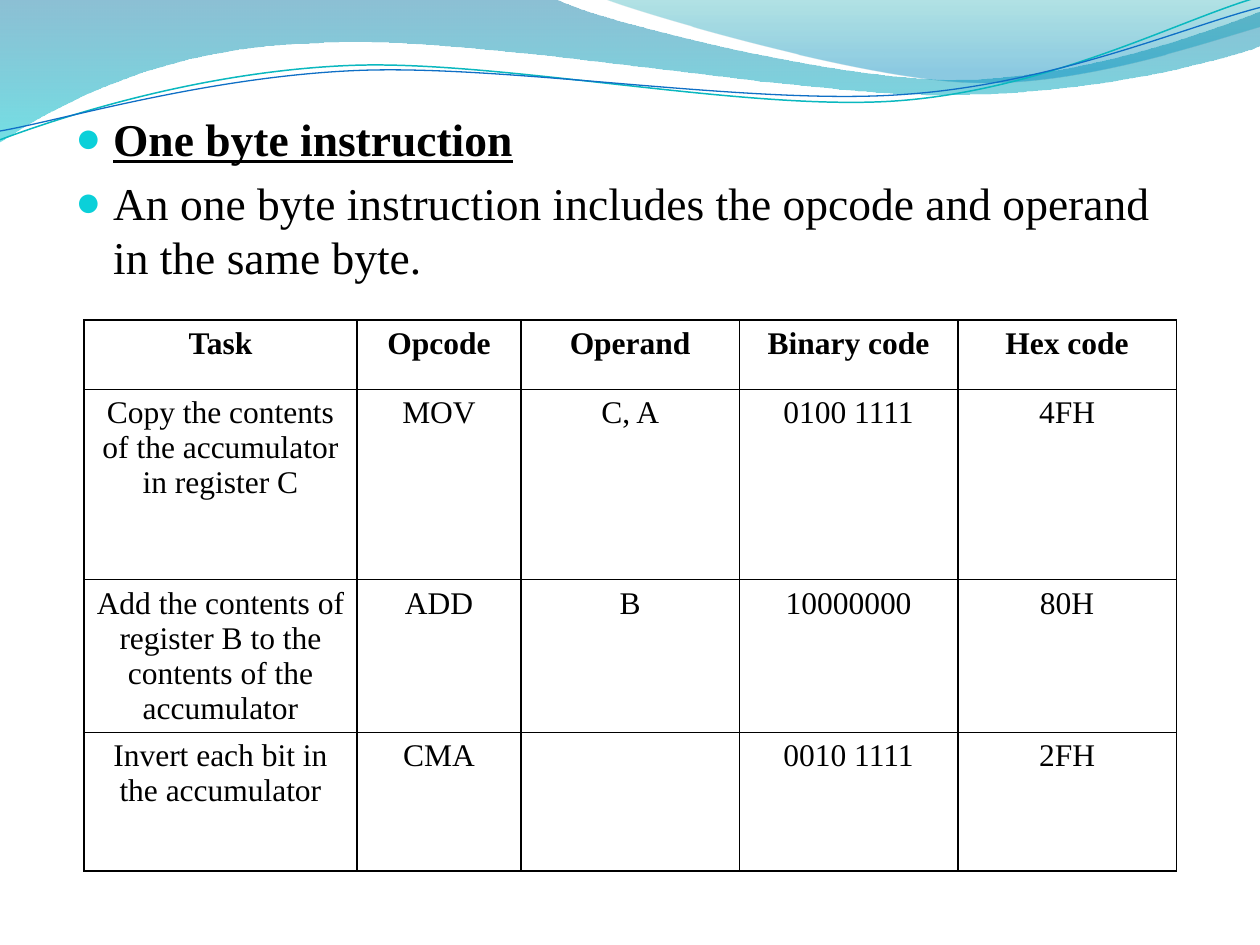
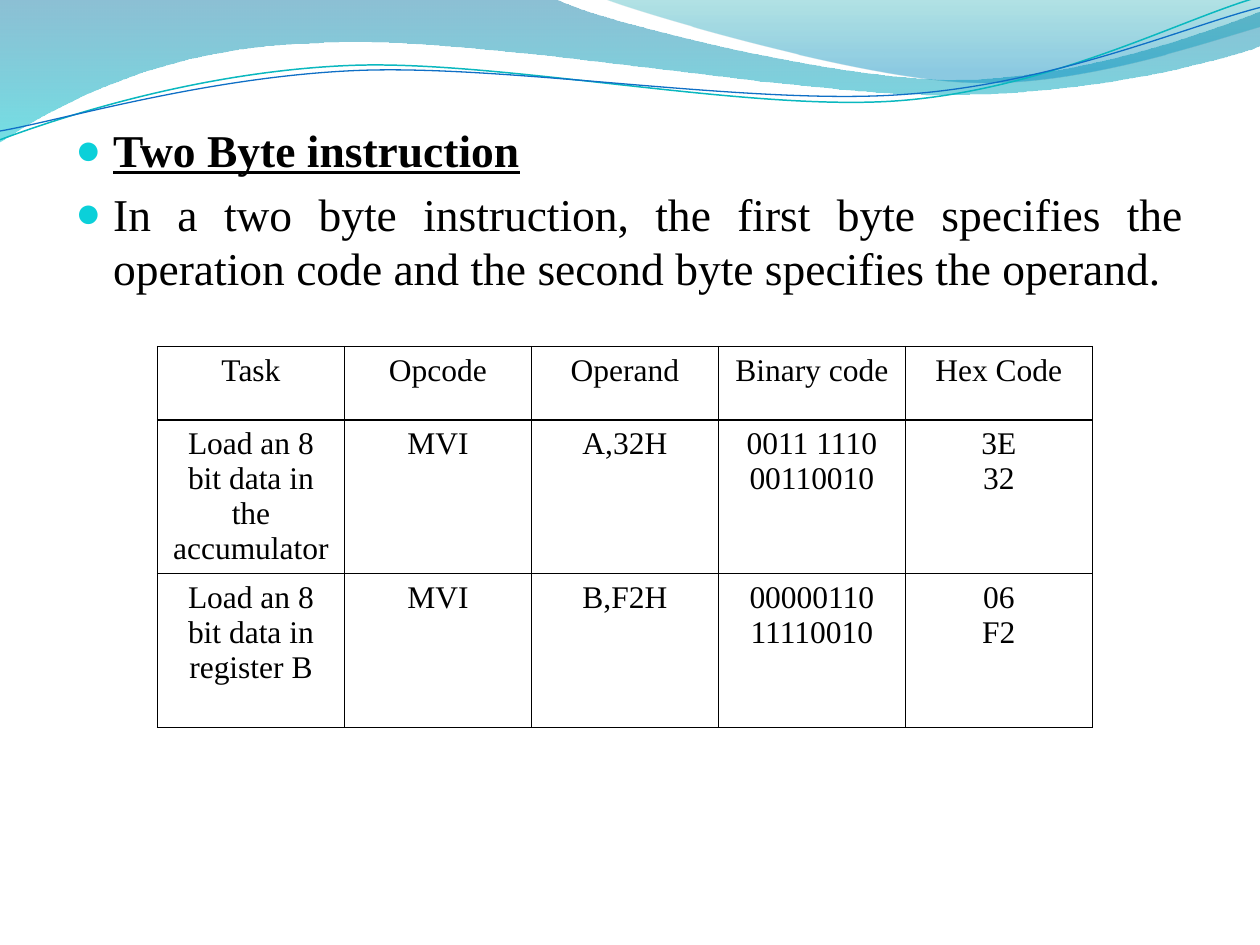
from math import cos, radians, sin

from lxml import etree
from pptx import Presentation
from pptx.dml.color import RGBColor as RGB
from pptx.enum.text import PP_ALIGN as AL
from pptx.oxml.ns import qn
from pptx.util import Inches, Pt

COLORS = {"text": "000000", "border": "000000", "bullet": "0BD0D9",
          "deep": "0074A1", "aqua": "00C6CF", "teal": "00A1A9",
          "sky": "008BBF", "teal_line": "0AB8BF", "blue_line": "0F6FC6"}
FONT = "Times New Roman"
COLUMNS, ROWS = 10, 7.5
TILT = 2.7

BANDS = [
    ([(0, 0), (4.4, -0.01), (4.76, 0.17, 6.64, 0.63, 7.58, 0.63),
      (8.53, 0.63, 9.58, 0.26, 10, 0.09), (10.01, 0.36),
      (9.83, 0.44, 8.7, 0.76, 7.46, 0.75), (6.22, 0.75, 3.82, 0.28, 2.57, 0.34),
      (1.29, 0.36, 0.46, 0.83, -0.01, 1.13), (0, 0)],
     [(0, "deep", 45), (1, "aqua", 55)]),
    ([(4.79, -0.01), (5.09, 0.11, 6.82, 0.62, 7.69, 0.65),
      (8.56, 0.69, 9.61, 0.32, 10, 0.21), (10, 0), (4.79, -0.01)],
     [(0, "teal", 30), (0.8, "sky", 45)]),
]
LINES = [
    ([(0, 1.11), (0.48, 0.93, 1.58, 0.57, 2.77, 0.52),
      (3.95, 0.47, 5.93, 0.89, 7.13, 0.8), (8.33, 0.71, 9.38, 0.15, 9.98, -0.02)],
     "teal_line", 0.85),
    ([(0, 1.04), (0.47, 0.96, 1.64, 0.61, 2.83, 0.56),
      (4.03, 0.51, 5.97, 0.84, 7.17, 0.75), (8.36, 0.67, 9.41, 0.21, 10, 0.06)],
     "blue_line", 0.75),
]


def rgb(name):
    """Return a named colour."""
    return RGB.from_string(COLORS[name])


def sub(parent, tag, **attrs):
    """Append an XML element with attributes."""
    el = etree.SubElement(parent, qn(tag))
    for key, value in attrs.items():
        el.set(key, str(value))
    return el


def pairs(segment):
    """Split a flat segment into its points."""
    return list(zip(segment[::2], segment[1::2]))


def turn(points, degrees):
    """Turn points clockwise until their box, turned back, lies in place."""
    c, s = cos(radians(degrees)), sin(radians(degrees))
    turned = [(x * c - y * s, x * s + y * c) for x, y in points]
    mid_x, mid_y = [(min(v) + max(v)) / 2 for v in zip(*turned)]
    dx, dy = mid_x * c + mid_y * s - mid_x, mid_y * c - mid_x * s - mid_y
    return [(x + dx, y + dy) for x, y in turned]


def write(p, text, size=18, bold=False, underline=False, align=None, before=0, leading=20):
    """Write formatted text into a paragraph."""
    r = p.add_run()
    r.text = text
    font = r.font
    font.name, font.size, font.bold, font.underline = FONT, Pt(size), bold, underline
    font.color.rgb = rgb("text")
    p.alignment = align
    p.space_before = Pt(before)
    p.line_spacing = Pt(leading)


class Deck:
    """Hold the style, the grid and the current slide."""

    def __init__(self):
        """Start a presentation on a grid of equal square cells."""
        self.prs = Presentation()
        self.prs.slide_width, self.prs.slide_height = Inches(COLUMNS), Inches(ROWS)
        self.cell = self.prs.slide_width / COLUMNS
        self.s = None

    def at(self, *cells):
        """Convert grid cells to slide lengths."""
        return [round(c * self.cell) for c in cells]

    def add_slide(self):
        """Add a blank slide with the shared wave header."""
        self.s = self.prs.slides.add_slide(self.prs.slide_layouts[6])
        for segments, stops in BANDS:
            self.band(segments, stops)
        for segments, color, width in LINES:
            self.wave(segments, color, width)

    def outline(self, segments, close=False, tilt=0):
        """Draw a freeform of straight and Bézier segments."""
        points = turn([pt for seg in segments for pt in pairs(seg)], tilt)
        points = [self.at(*pt) for pt in points]
        builder = self.s.shapes.build_freeform(*points[0])
        builder.add_line_segments(points[1:], close=close)
        sp = builder.convert_to_shape()
        sp.shadow.inherit = False
        sp.rotation = -tilt
        nodes = iter(list(sp.element.iter(qn("a:lnTo"))))
        for seg in segments[1:]:
            knots = [next(nodes) for _ in pairs(seg)]
            if len(knots) == 3:
                curve = etree.Element(qn("a:cubicBezTo"))
                knots[0].addprevious(curve)
                for knot in knots:
                    curve.append(knot[0])
                    knot.getparent().remove(knot)
        return sp

    def band(self, segments, stops):
        """Draw a translucent band shaded from top to bottom."""
        sp = self.outline(segments, close=True)
        sp.line.fill.background()
        sp.fill.gradient()
        sp.fill.gradient_angle = 270
        for stop, (position, color, opacity) in zip(sp.fill.gradient_stops, stops):
            stop.position = position
            stop.color.rgb = rgb(color)
        for clr, stop in zip(sp.element.spPr.iter(qn("a:srgbClr")), stops):
            sub(clr, "a:alpha", val=stop[2] * 1000)

    def wave(self, segments, color, width):
        """Draw an open wavy line."""
        sp = self.outline(segments, tilt=TILT)
        sp.fill.background()
        sp.line.color.rgb = rgb(color)
        sp.line.width = Pt(width)

    def bullets(self, top, height, heading, body, align=None):
        """Add an underlined heading bullet and a body bullet."""
        tf = self.s.shapes.add_textbox(*self.at(0.5, top, 9, height)).text_frame
        tf.word_wrap = True
        indent = self.at(0.3)[0]
        items = [(heading, dict(bold=True, underline=True)),
                 (body, dict(align=align, before=5.2))]
        for i, (text, style) in enumerate(items):
            p = tf.add_paragraph() if i else tf.paragraphs[0]
            pPr = p._p.get_or_add_pPr()
            pPr.set("marL", str(indent))
            pPr.set("indent", str(-indent))
            sub(sub(pPr, "a:buClr"), "a:srgbClr", val=COLORS["bullet"])
            sub(pPr, "a:buSzPct", val=95000)
            sub(pPr, "a:buFont", typeface=FONT)
            sub(pPr, "a:buChar", char="●")
            write(p, text, size=26, leading=31.2, **style)

    def table(self, left, top, widths, heights, rows, bold_head=False):
        """Add a bordered table of centred text."""
        frame = self.s.shapes.add_table(len(rows), len(widths), *self.at(
            left, top, sum(widths), sum(heights)))
        tbl = frame.table
        tbl.first_row = tbl.horz_banding = False
        for col, width in zip(tbl.columns, self.at(*widths)):
            col.width = width
        for row, height in zip(tbl.rows, self.at(*heights)):
            row.height = height
        for i, row in enumerate(rows):
            for cell, text in zip(tbl.rows[i].cells, row):
                self.border(cell)
                cell.fill.background()
                tf = cell.text_frame
                for n, line in enumerate(text.splitlines()):
                    p = tf.add_paragraph() if n else tf.paragraphs[0]
                    write(p, line, bold=bold_head and i == 0, align=AL.CENTER)

    def border(self, cell):
        """Rule all four sides of a table cell."""
        tcPr = cell._tc.get_or_add_tcPr()
        for side in "LRTB":
            ln = sub(tcPr, f"a:ln{side}", w=Pt(1))
            sub(sub(ln, "a:solidFill"), "a:srgbClr", val=COLORS["border"])


def main():
    """Build the slides on one and two byte instructions."""
    deck = Deck()

    deck.add_slide()
    deck.bullets(0.83, 6.08, "One byte instruction",
                 "An one byte instruction includes the opcode and operand in the same byte.")
    widths = [8.67 * share / 20 for share in (5, 3, 4, 4, 4)]
    deck.table(2 / 3, 2.54, widths, [0.55, 1.51, 1.1, 1.1], [
        ["Task", "Opcode", "Operand", "Binary code", "Hex code"],
        ["Copy the contents of the accumulator in register C",
         "MOV", "C, A", "0100 1111", "4FH"],
        ["Add the contents of register B to the contents of the accumulator",
         "ADD", "B", "10000000", "80H"],
        ["Invert each bit in the accumulator", "CMA", "", "0010 1111", "2FH"],
    ], bold_head=True)

    deck.add_slide()
    deck.bullets(0.92, 6, "Two Byte instruction",
                 "In a two byte instruction, the first byte specifies the operation code "
                 "and the second byte specifies the operand.", align=AL.JUSTIFY)
    deck.table(1.25, 2.75, [7.42 / 5] * 5, [7 / 12, 1.22, 1.22], [
        ["Task", "Opcode", "Operand", "Binary code", "Hex Code"],
        ["Load an 8 bit data in the accumulator",
         "MVI", "A,32H", "0011 1110\n00110010", "3E\n32"],
        ["Load an 8 bit data in register B",
         "MVI", "B,F2H", "00000110\n11110010", "06\nF2"],
    ])

    deck.prs.save("out.pptx")


if __name__ == "__main__":
    main()
